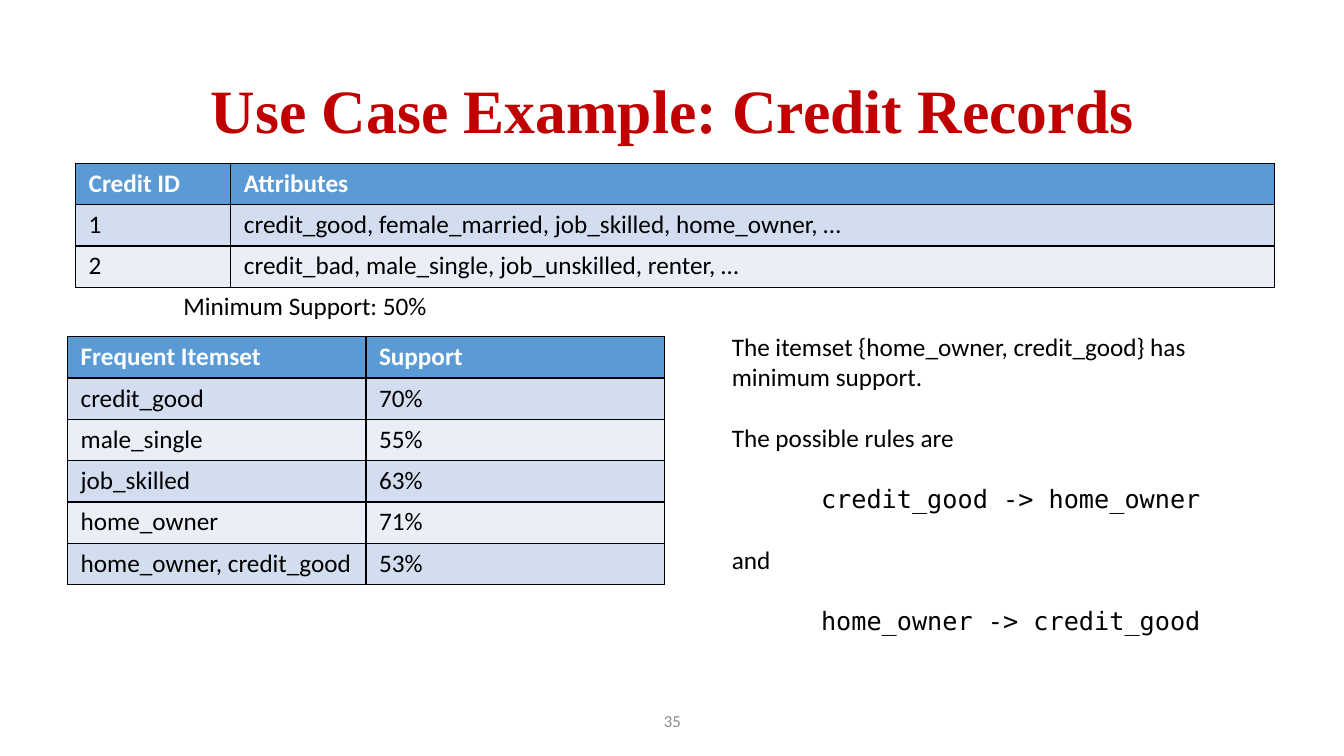
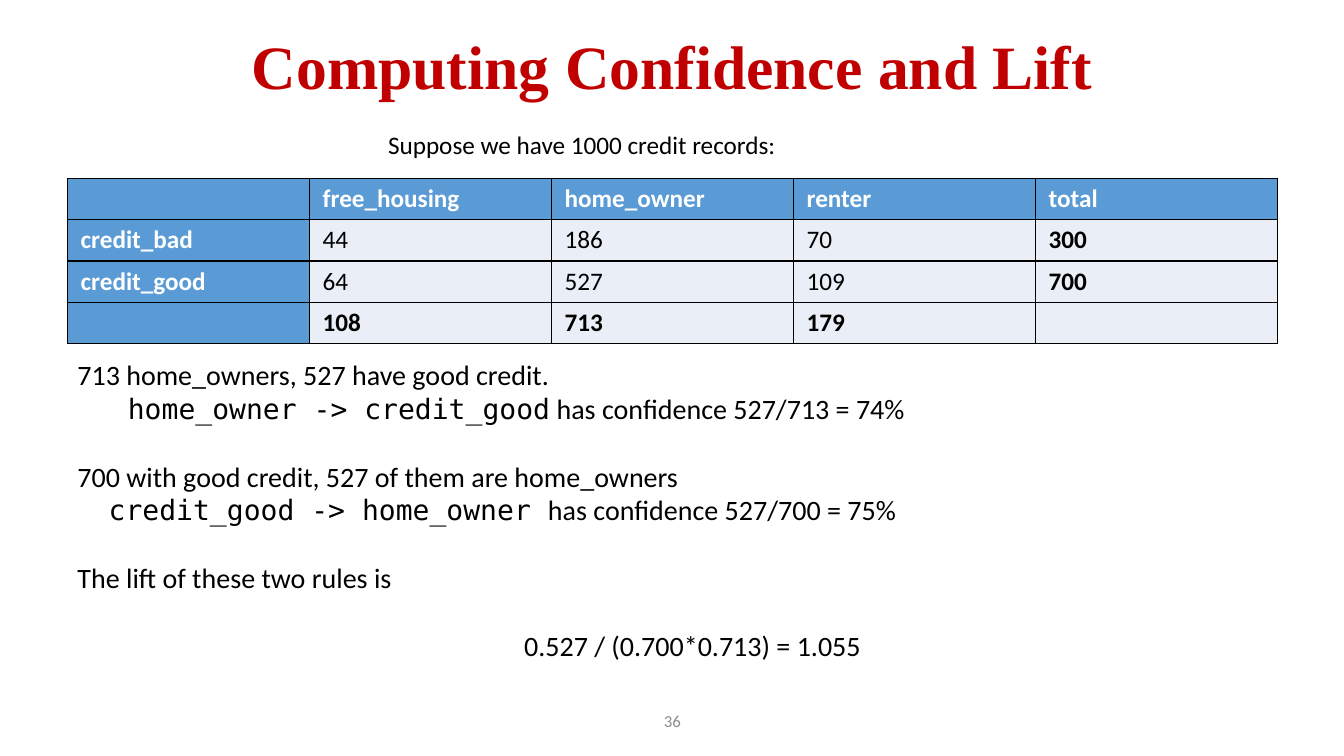
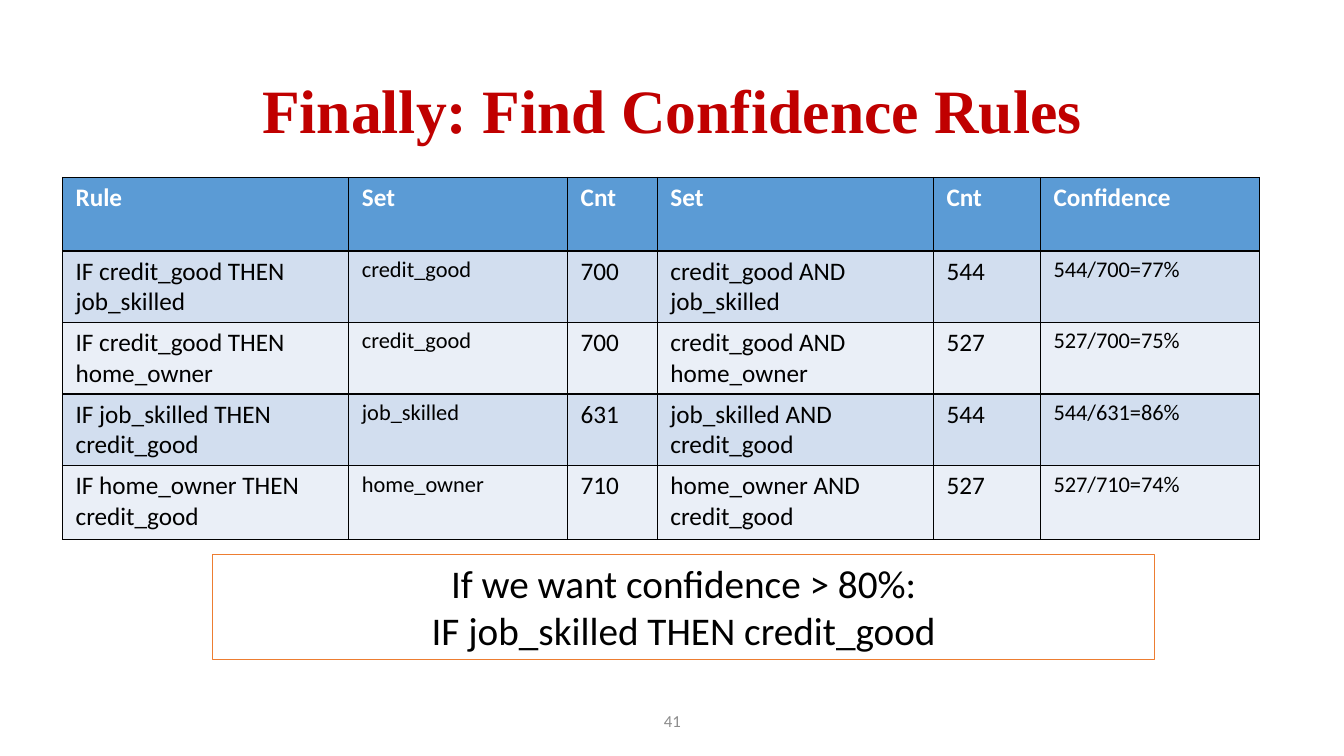
from dataclasses import dataclass
from typing import Optional

from lxml.etree import SubElement
from pptx import Presentation
from pptx.dml.color import RGBColor
from pptx.enum.shapes import MSO_SHAPE
from pptx.enum.text import MSO_ANCHOR, MSO_AUTO_SIZE, PP_ALIGN
from pptx.oxml.ns import qn
from pptx.util import Inches, Pt

# Shared look
BODY, MONO, TITLE = "Calibri", "DejaVu Sans Mono", "Times New Roman"
BLACK, WHITE, RED, GREY = "000000", "FFFFFF", "C00000", "8C8C8C"
HEADER, BAND_DARK, BAND_LIGHT, ORANGE = "5B9BD5", "D2DEEF", "EAEFF7", "ED7D31"
ROW_HEIGHT = 0.41
LINE_FACTOR = 1.22
TITLE_LOW = (0.92, 0.4, 11.5, 1.45)
TITLE_HIGH = (0.67, 0.3, 12, 0.77)

Box = tuple[float, float, float, float]


@dataclass
class Line:
    """A paragraph: plain text, code, then plain text again."""
    text: str = ""
    code: str = ""
    tail: str = ""
    gap: bool = False
    center: bool = False
    indent: float = 0


@dataclass
class Grid:
    left: float
    top: float
    widths: list[float]
    rows: list[list[str]]
    heights: Optional[list[float]] = None
    banded: bool = True
    totals: bool = False
    small_columns: tuple[int, ...] = ()


def color(value: str) -> RGBColor:
    return RGBColor.from_string(value)


def style(r, size: float, name: str = BODY, fill: str = BLACK,
          bold: bool = False) -> None:
    r.font.size, r.font.name, r.font.bold = Pt(size), name, bold
    r.font.color.rgb = color(fill)


def place(sp, box: Box) -> None:
    sp.left, sp.top, sp.width, sp.height = map(Inches, box)


def write(tf, lines: list[Line], size: float) -> None:
    for i, line in enumerate(lines):
        p = tf.paragraphs[0] if i == 0 else tf.add_paragraph()
        p.alignment = PP_ALIGN.CENTER if line.center else PP_ALIGN.LEFT
        if line.gap:
            p.space_before = Pt(size * LINE_FACTOR)
        if line.indent:
            p._p.get_or_add_pPr().set("marL", str(Inches(line.indent)))
        for text, name in ((line.text, BODY), (line.code, MONO), (line.tail, BODY)):
            if text:
                r = p.add_run()
                r.text = text
                style(r, size, name)


def add_text(slide, box: Box, lines: list[Line], size: float = 18,
             wrap: bool = True) -> None:
    tf = slide.shapes.add_textbox(*map(Inches, box)).text_frame
    tf.word_wrap = wrap
    write(tf, lines, size)


def add_slide(prs, title: str, title_box: Box, number: int):
    slide = prs.slides.add_slide(prs.slide_layouts[5])
    # Title
    sp = slide.shapes.title
    place(sp, title_box)
    tf = sp.text_frame
    tf.text = title
    tf.auto_size = MSO_AUTO_SIZE.NONE
    tf.vertical_anchor = MSO_ANCHOR.MIDDLE
    p = tf.paragraphs[0]
    p.alignment, p.line_spacing = PP_ALIGN.CENTER, 0.9
    style(p.runs[0], 44, TITLE, RED, True)
    # Slide number
    tf = slide.shapes.add_textbox(*map(Inches, (4.42, 6.95, 4.5, 0.4))).text_frame
    tf.word_wrap = True
    tf.vertical_anchor = MSO_ANCHOR.MIDDLE
    p = tf.paragraphs[0]
    p.text = str(number)
    p.alignment = PP_ALIGN.CENTER
    style(p.runs[0], 12, fill=GREY)
    return slide


def add_borders(cell) -> None:
    tcPr = cell._tc.get_or_add_tcPr()
    for side in ("a:lnL", "a:lnR", "a:lnT", "a:lnB"):
        ln = SubElement(tcPr, qn(side), w=str(Pt(1)))
        SubElement(SubElement(ln, qn("a:solidFill")), qn("a:srgbClr"), val=BLACK)


def add_grid(slide, grid: Grid) -> None:
    n_rows, n_cols = len(grid.rows), len(grid.widths)
    heights = grid.heights or [ROW_HEIGHT] * n_rows
    table = slide.shapes.add_table(
        n_rows, n_cols, Inches(grid.left), Inches(grid.top),
        Inches(sum(grid.widths)), Inches(sum(heights))).table
    for column, width in zip(table.columns, grid.widths):
        column.width = Inches(width)
    for i, (row, values) in enumerate(zip(table.rows, grid.rows)):
        row.height = Inches(heights[i])
        band = BAND_DARK if grid.banded and i % 2 else BAND_LIGHT
        for j, (cell, value) in enumerate(zip(row.cells, values)):
            header = i == 0 or (grid.totals and j == 0)
            total = grid.totals and (i == n_rows - 1 or j == n_cols - 1)
            cell.margin_left = cell.margin_right = Inches(0.13)
            cell.margin_top = cell.margin_bottom = Inches(0.05)
            add_borders(cell)
            cell.fill.solid()
            cell.fill.fore_color.rgb = color(HEADER if header else band)
            cell.text_frame.text = value
            for r in cell.text_frame.paragraphs[0].runs:
                style(r, 16 if i and j in grid.small_columns else 18,
                      fill=WHITE if header else BLACK, bold=header or total)


def credit_records(prs) -> None:
    slide = add_slide(prs, "Use Case Example: Credit Records", TITLE_LOW, 35)
    add_grid(slide, Grid(0.75, 1.62, [1.54, 10.35], [
        ["Credit ID", "Attributes"],
        ["1", "credit_good, female_married, job_skilled, home_owner, …"],
        ["2", "credit_bad, male_single, job_unskilled, renter, …"],
    ]))
    add_grid(slide, Grid(0.67, 3.34, [2.96] * 2, [
        ["Frequent Itemset", "Support"],
        ["credit_good", "70%"],
        ["male_single", "55%"],
        ["job_skilled", "63%"],
        ["home_owner", "71%"],
        ["home_owner, credit_good", "53%"],
    ]))
    add_text(slide, (1.72, 2.83, 2.64, 0.4), [Line("Minimum Support: 50%")], wrap=False)
    add_text(slide, (7.16, 3.24, 5.73, 3.13), [
        Line("The itemset {home_owner, credit_good} has minimum support."),
        Line("The possible rules are", gap=True),
        Line(code="credit_good -> home_owner", gap=True, center=True),
        Line("and", gap=True),
        Line(code="home_owner -> credit_good", gap=True, center=True),
    ])


def confidence_and_lift(prs) -> None:
    slide = add_slide(prs, "Computing Confidence and Lift", TITLE_HIGH, 36)
    add_grid(slide, Grid(0.67, 1.77, [2.4] * 5, [
        ["", "free_housing", "home_owner", "renter", "total"],
        ["credit_bad", "44", "186", "70", "300"],
        ["credit_good", "64", "527", "109", "700"],
        ["", "108", "713", "179", ""],
    ], banded=False, totals=True))
    add_text(slide, (3.75, 1.23, 4.09, 0.4),
             [Line("Suppose we have 1000 credit records:")], wrap=False)
    add_text(slide, (0.67, 3.5, 12.4, 3.13), [
        Line("713 home_owners, 527 have good credit."),
        Line(code="home_owner -> credit_good",
             tail=" has confidence 527/713 = 74%", indent=0.5),
        Line("700 with good credit, 527 of them are home_owners", gap=True),
        Line(code="credit_good -> home_owner ",
             tail="has confidence 527/700 = 75%", indent=0.31),
        Line("The lift of these two rules is", gap=True),
        Line("0.527 / (0.700*0.713) = 1.055", gap=True, center=True),
    ], size=20)


def confidence_rules(prs) -> None:
    slide = add_slide(prs, "Finally: Find Confidence Rules", TITLE_LOW, 41)
    add_grid(slide, Grid(0.62, 1.76, [2.84, 2.17, 0.89, 2.74, 1.06, 2.17], [
        ["Rule", "Set", "Cnt", "Set", "Cnt", "Confidence"],
        ["IF credit_good THEN job_skilled", "credit_good", "700",
         "credit_good AND job_skilled", "544", "544/700=77%"],
        ["IF credit_good THEN home_owner", "credit_good", "700",
         "credit_good AND home_owner", "527", "527/700=75%"],
        ["IF job_skilled THEN credit_good", "job_skilled", "631",
         "job_skilled AND credit_good", "544", "544/631=86%"],
        ["IF home_owner THEN credit_good", "home_owner", "710",
         "home_owner AND credit_good", "527", "527/710=74%"],
    ], heights=[0.73, 0.71, 0.71, 0.71, 0.73], small_columns=(1, 5)))
    # Conclusion box
    sp = slide.shapes.add_shape(MSO_SHAPE.RECTANGLE,
                                *map(Inches, (2.11, 5.5, 9.34, 1.04)))
    sp.shadow.inherit = False
    sp.fill.background()
    sp.line.color.rgb = color(ORANGE)
    sp.line.width = Pt(0.75)
    tf = sp.text_frame
    tf.word_wrap = True
    tf.vertical_anchor = MSO_ANCHOR.TOP
    write(tf, [Line("If we want confidence > 80%:", center=True),
               Line("IF job_skilled THEN credit_good", center=True)], 28)


def main() -> None:
    prs = Presentation()
    prs.slide_width, prs.slide_height = Inches(13.33), Inches(7.5)
    credit_records(prs)
    confidence_and_lift(prs)
    confidence_rules(prs)
    prs.save("out.pptx")


if __name__ == "__main__":
    main()
